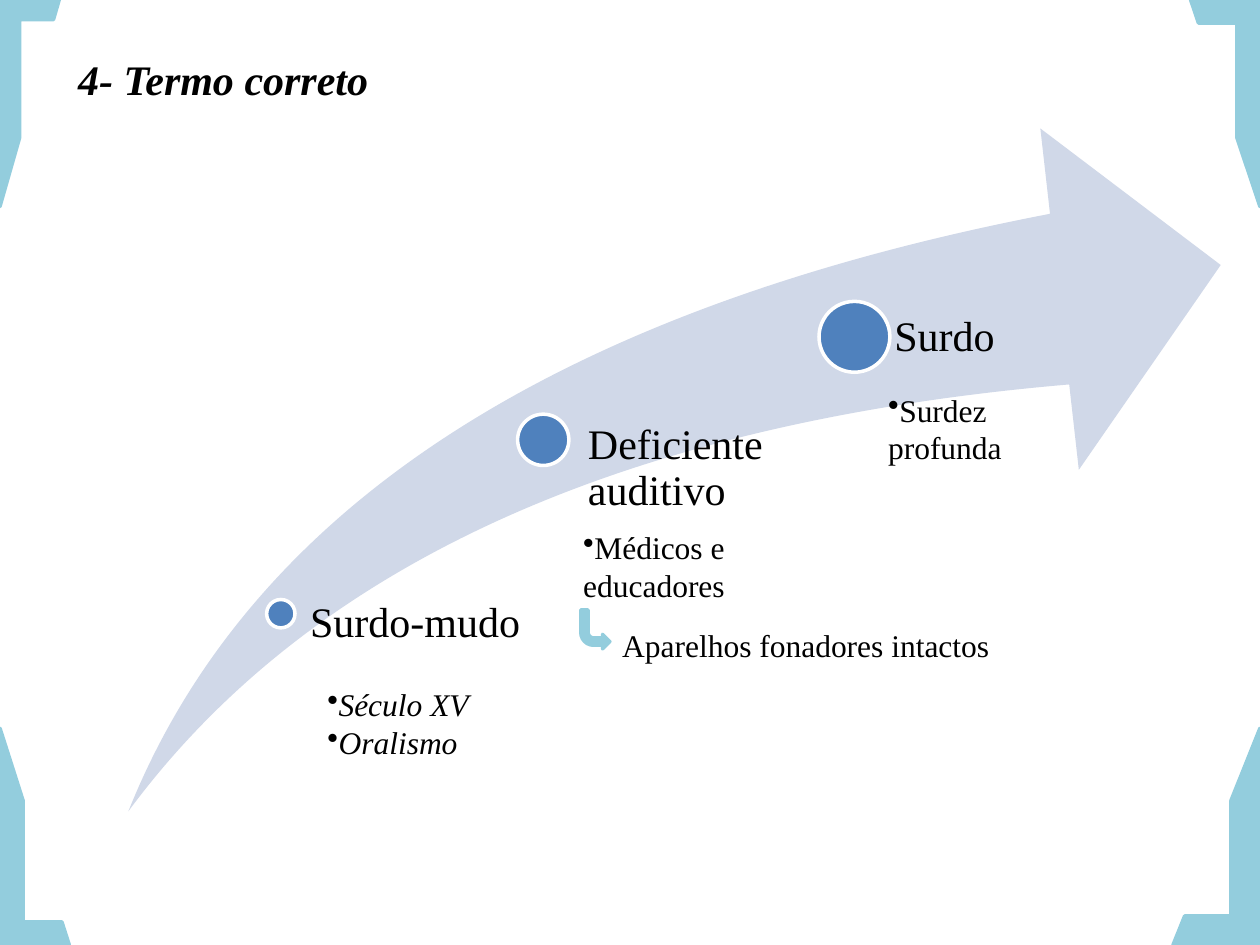
from dataclasses import dataclass

from lxml import etree
from pptx import Presentation
from pptx import util as u
from pptx.dml.color import RGBColor
from pptx.enum import shapes, text
from pptx.oxml import ns

AQUA = RGBColor(0x93, 0xCD, 0xDD)
PALE_BLUE = RGBColor(0xD0, 0xD8, 0xE8)
BLUE = RGBColor(0x4F, 0x81, 0xBD)
WHITE = RGBColor(0xFF, 0xFF, 0xFF)
BLACK = RGBColor(0, 0, 0)
FONT = "Times New Roman"
SLIDE_WIDTH, SLIDE_HEIGHT = 720, 540
NO_INSETS = (0, 0, 0, 0)
DEFAULT_INSETS = (7.2, 3.6, 7.2, 3.6)


@dataclass(frozen=True)
class Box:
    left: float
    top: float
    width: float
    height: float

    def lengths(self) -> list[u.Length]:
        return [u.Pt(value) for value in (self.left, self.top, self.width, self.height)]


@dataclass(frozen=True)
class Corner:
    width: float
    height: float
    right: bool
    bottom: bool

    def box(self) -> Box:
        left = SLIDE_WIDTH - self.width if self.right else 0
        top = SLIDE_HEIGHT - self.height if self.bottom else 0
        return Box(left, top, self.width, self.height)


@dataclass(frozen=True)
class Milestone:
    dot: Box
    label: str
    label_box: Box
    label_inset: float


@dataclass(frozen=True)
class Note:
    lines: tuple[str, ...]
    box: Box
    bullet: bool = True
    italic: bool = False
    wrap: bool = True


CORNERS = (
    Corner(33.84, 118.08, False, False),
    Corner(39.6, 118.08, True, False),
    Corner(39.6, 123.84, False, True),
    Corner(49.68, 123.84, True, True),
)
MILESTONES = (
    Milestone(Box(152.4, 342.6, 16.2, 16.2), "Surdo-mudo", Box(168.6, 343.5, 289.5, 113), 8.6),
    Milestone(Box(295.8, 236.7, 29.3, 29.3), "Deficiente auditivo", Box(320.4, 242, 150, 212.4), 15.6),
    Milestone(Box(468, 172.2, 40.5, 40.5), "Surdo", Box(489.6, 180, 150, 271.4), 21.5),
)
NOTES = (
    Note(("Século XV", "Oralismo"), Box(180, 388, 101.5, 51), italic=True),
    Note(("Médicos e educadores",), Box(326.2, 298.1, 112.3, 51)),
    Note(("Aparelhos fonadores intactos",), Box(348.5, 354.2, 230.4, 29), bullet=False, wrap=False),
    Note(("Surdez profunda",), Box(500.4, 219.6, 123.8, 51)),
)


def draw_shape(slide, kind, box: Box, fill: RGBColor, line: RGBColor | None = None,
               flip_h: bool = False, flip_v: bool = False):
    """Draw a filled preset shape, optionally outlined and flipped."""
    shape = slide.shapes.add_shape(kind, *box.lengths())
    shape.shadow.inherit = False
    shape.fill.solid()
    shape.fill.fore_color.rgb = fill
    if line is None:
        shape.line.fill.background()
    else:
        shape.line.color.rgb = line
        shape.line.width = u.Pt(2)
    for name, flipped in (("flipH", flip_h), ("flipV", flip_v)):
        if flipped:
            shape.element.spPr.xfrm.set(name, "1")
    return shape


def draw_text(slide, lines: tuple[str, ...], box: Box, size: float, insets=DEFAULT_INSETS,
              bold: bool = False, italic: bool = False, bullet: bool = False,
              wrap: bool = True, spacing: float = 1.0):
    """Draw a text box with one paragraph per line."""
    frame = slide.shapes.add_textbox(*box.lengths()).text_frame
    frame.word_wrap = wrap
    frame.margin_left, frame.margin_top, frame.margin_right, frame.margin_bottom = map(u.Pt, insets)
    frame.text = "\n".join(lines)
    for paragraph in frame.paragraphs:
        paragraph.line_spacing = spacing
        font = paragraph.font
        font.name, font.size, font.bold, font.italic = FONT, u.Pt(size), bold, italic
        font.color.rgb = BLACK
        if bullet:
            properties = paragraph._p.get_or_add_pPr()
            mark = etree.Element(ns.qn("a:buChar"), char="•")
            properties.find(ns.qn("a:defRPr")).addprevious(mark)
    return frame


def draw_milestone(slide, milestone: Milestone) -> None:
    """Draw a dot on the arrow and its label."""
    draw_shape(slide, shapes.MSO_SHAPE.OVAL, milestone.dot, BLUE, WHITE)
    draw_text(slide, (milestone.label,), milestone.label_box, 24,
              (milestone.label_inset, *NO_INSETS[1:]), spacing=0.9)


def main() -> None:
    """Build the slide and save it."""
    presentation = Presentation()
    presentation.slide_width, presentation.slide_height = u.Pt(SLIDE_WIDTH), u.Pt(SLIDE_HEIGHT)
    slide = presentation.slides.add_slide(presentation.slide_layouts[6])

    title = draw_text(slide, ("4- Termo correto",), Box(34, 0, 187, 90), 24,
                      bold=True, italic=True, wrap=False)
    title.vertical_anchor = text.MSO_ANCHOR.MIDDLE
    title.paragraphs[0].alignment = text.PP_ALIGN.CENTER

    for corner in CORNERS:
        draw_shape(slide, shapes.MSO_SHAPE.HALF_FRAME, corner.box(), AQUA, AQUA,
                   corner.right, corner.bottom)

    swoosh = draw_shape(slide, shapes.MSO_SHAPE.SWOOSH_ARROW, Box(73.4, 73.4, 624.2, 390.2), PALE_BLUE)
    swoosh.adjustments[0] = swoosh.adjustments[1] = 0.25
    for milestone in MILESTONES:
        draw_milestone(slide, milestone)
    for note in NOTES:
        draw_text(slide, note.lines, note.box, 18, italic=note.italic,
                  bullet=note.bullet, wrap=note.wrap)
    draw_shape(slide, shapes.MSO_SHAPE.BENT_ARROW, Box(331.9, 348.5, 16.6, 22.3), AQUA, AQUA, flip_v=True)

    presentation.save("out.pptx")


if __name__ == "__main__":
    main()
